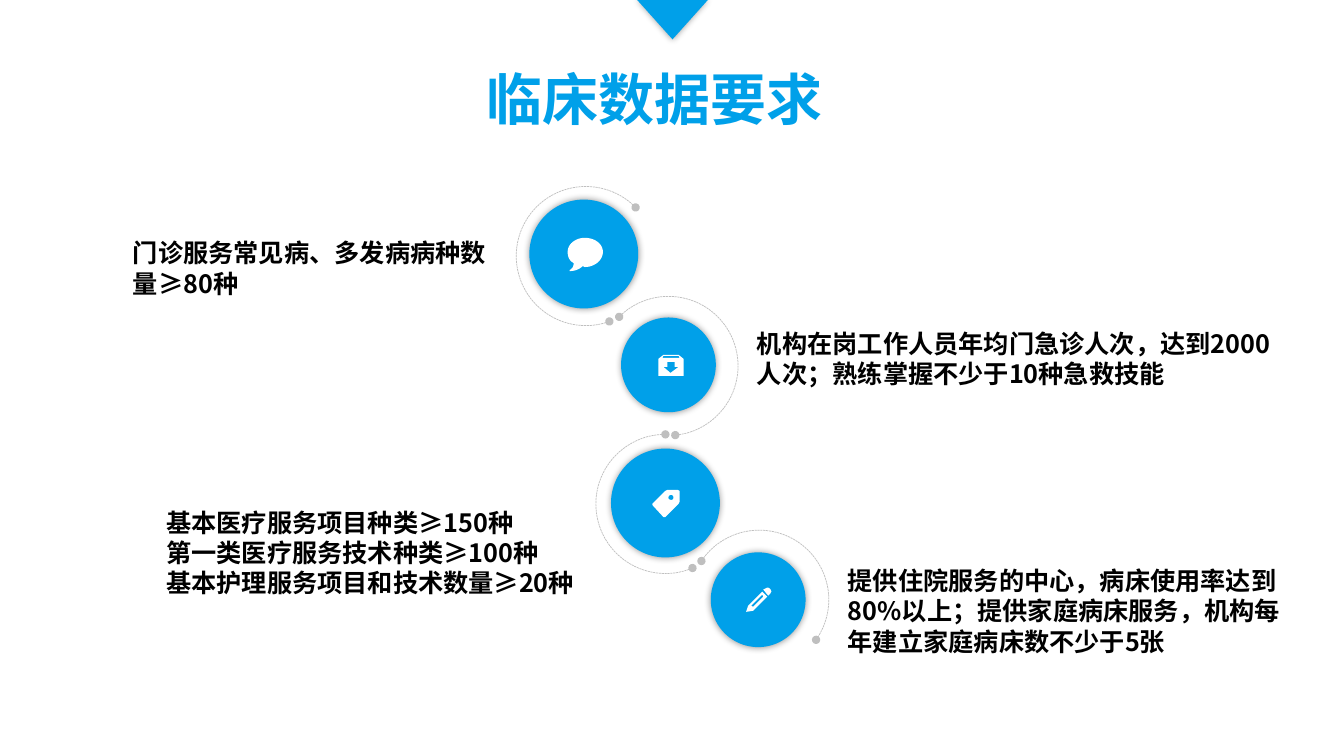
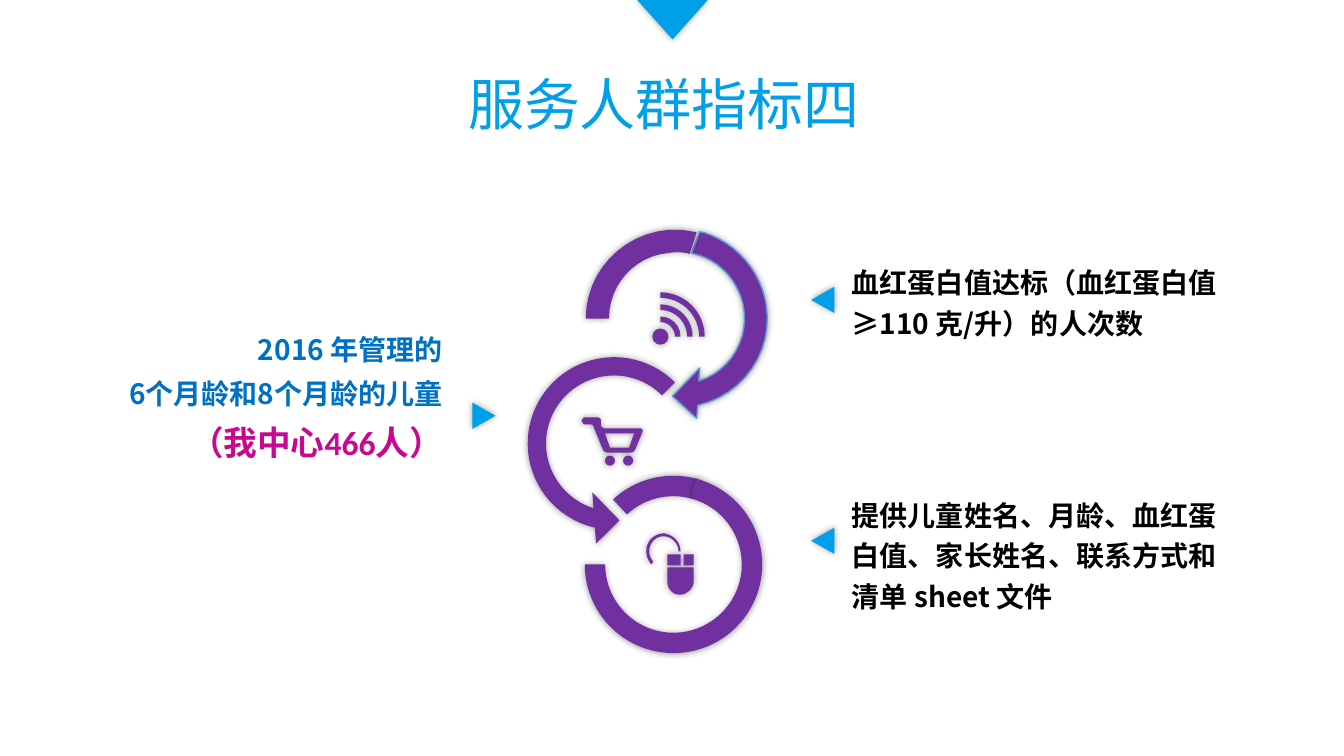
from lxml import etree
from pptx import Presentation
from pptx.dml.color import RGBColor
from pptx.enum.dml import MSO_LINE
from pptx.enum.shapes import MSO_SHAPE as SHAPE
from pptx.enum.text import PP_ALIGN as ALIGN
from pptx.oxml.ns import qn
from pptx.util import Inches, Pt

BLUE = RGBColor(0x00, 0xA0, 0xE9)
DEEP_BLUE = RGBColor(0x00, 0x70, 0xC0)
EDGE_BLUE = RGBColor(0x5B, 0x9B, 0xD5)
PURPLE = RGBColor(0x70, 0x30, 0xA0)
MAGENTA = RGBColor(0xC8, 0x08, 0x90)
GREY = RGBColor(0xBF, 0xBF, 0xBF)
WHITE = RGBColor(0xFF, 0xFF, 0xFF)
BLACK = RGBColor(0, 0, 0)
BODY_FONT, TITLE_FONT = "Noto Sans CJK SC", "Noto Sans CJK JP"
WIDTH, HEIGHT = 13.33, 7.5
TITLE_SIZE = (6.03, 0.74)
ORBIT = 1.38

# Outlines: a pair is a corner, six numbers are a curve (two handles, end).
BUBBLE = [[(5.8, 2.36), (5.9, 2.36, 5.98, 2.42, 5.98, 2.5),
           (5.98, 2.58, 5.9, 2.65, 5.8, 2.65), (5.78, 2.64),
           (5.74, 2.68, 5.69, 2.69, 5.65, 2.69), (5.65, 2.68),
           (5.67, 2.67, 5.69, 2.65, 5.69, 2.61),
           (5.65, 2.59, 5.63, 2.55, 5.63, 2.5),
           (5.63, 2.42, 5.71, 2.36, 5.8, 2.36)]]
BOX = [[(6.73, 3.52), (6.58, 3.52), (6.53, 3.56), (6.53, 3.73),
        (6.78, 3.73), (6.78, 3.56)],
       [(6.65, 3.7), (6.58, 3.64), (6.62, 3.64), (6.62, 3.59),
        (6.69, 3.59), (6.69, 3.64), (6.73, 3.64)],
       [(6.57, 3.55), (6.58, 3.53), (6.73, 3.53), (6.74, 3.55)]]
TAG = [[(6.72, 4.86), (6.62, 4.86), (6.6, 4.87), (6.47, 5), (6.47, 5.01),
        (6.58, 5.13), (6.6, 5.13), (6.73, 5), (6.74, 4.98), (6.74, 4.87)],
       [(6.66, 4.96), (6.64, 4.96, 6.63, 4.95, 6.63, 4.94),
        (6.63, 4.92, 6.64, 4.91, 6.66, 4.91),
        (6.67, 4.91, 6.68, 4.92, 6.68, 4.94),
        (6.68, 4.95, 6.67, 4.96, 6.66, 4.96)]]
PENCIL = [[(7.61, 5.83), (7.63, 5.83, 7.65, 5.85, 7.65, 5.87),
           (7.64, 5.89), (7.62, 5.91), (7.57, 5.85), (7.59, 5.84)],
          [(7.42, 6.01), (7.4, 6.07), (7.47, 6.06), (7.61, 5.92), (7.56, 5.87)],
          [(7.57, 5.92), (7.47, 6.02), (7.45, 6.01), (7.56, 5.9)]]
CART = [[(6.35, 4.25), (6, 4.25), (5.98, 4.25, 5.96, 4.23, 5.96, 4.22),
         (5.96, 4.17), (5.96, 4.16, 5.95, 4.14, 5.92, 4.14), (5.8, 4.14),
         (5.79, 4.14, 5.77, 4.16, 5.77, 4.17),
         (5.77, 4.19, 5.79, 4.21, 5.8, 4.21), (5.85, 4.21),
         (5.87, 4.21, 5.89, 4.22, 5.89, 4.24), (5.98, 4.46),
         (5.99, 4.48, 6.01, 4.49, 6.03, 4.49), (6.24, 4.49),
         (6.27, 4.49, 6.29, 4.48, 6.3, 4.46), (6.37, 4.29),
         (6.38, 4.27, 6.37, 4.25, 6.35, 4.25)],
        [(6.24, 4.44), (6.05, 4.44), (6, 4.3), (6.29, 4.3)]]
MOUSE = [[(6.78, 5.5), (6.78, 5.61), (6.88, 5.61), (6.88, 5.5)],
         [(6.62, 5.77), (6.62, 5.84, 6.67, 5.9, 6.74, 5.9),
          (6.81, 5.9, 6.88, 5.84, 6.88, 5.77), (6.88, 5.63), (6.62, 5.63)],
         [(6.75, 5.5), (6.62, 5.5), (6.62, 5.61), (6.75, 5.61)]]
CABLE = [[(6.41, 5.47), (6.41, 5.37, 6.48, 5.3, 6.58, 5.29),
          (6.67, 5.3, 6.75, 5.37, 6.75, 5.47), (6.73, 5.47),
          (6.73, 5.39, 6.66, 5.32, 6.58, 5.32),
          (6.5, 5.32, 6.44, 5.39, 6.44, 5.47),
          (6.44, 5.51, 6.46, 5.55, 6.48, 5.57), (6.46, 5.6),
          (6.43, 5.56, 6.41, 5.52, 6.41, 5.47)]]
ARROW = [[(6.94, 2.3), (6.99, 2.31), (7.3, 2.41, 7.55, 2.69, 7.6, 3.03),
          (7.67, 3.49, 7.37, 3.92, 6.92, 4.02), (6.91, 4.15), (6.67, 3.93),
          (6.94, 3.65), (6.93, 3.78), (7.25, 3.68, 7.44, 3.35, 7.37, 3.02),
          (7.31, 2.77, 7.13, 2.58, 6.89, 2.52), (6.86, 2.51)]]
ARROW_TAIL = [[(6.72, 2.28), (6.77, 2.28, 6.83, 2.29, 6.88, 2.3), (6.91, 2.3),
               (6.84, 2.52), (6.81, 2.51), (6.75, 2.5, 6.69, 2.5, 6.63, 2.51),
               (6.29, 2.54, 6.04, 2.83, 6.04, 3.16), (5.81, 3.16),
               (5.81, 2.7, 6.17, 2.32, 6.63, 2.28)]]

# Disc (left, top, diameter), orbit (left, top, start and end degrees), icon
STATIONS = [
    ((5.25, 1.98, 1.08), (5.12, 1.85, 70.2, 315.7), BUBBLE),
    ((6.06, 4.45, 1.08), (5.91, 4.31, 67.1, 270), TAG),
    ((6.16, 3.15, 0.94), (5.94, 2.94, 224.9, 84.4), BOX),
    ((7.05, 5.48, 0.94), (6.84, 5.26, 213.8, 35.2), PENCIL),
]
REQUIREMENTS = [
    ((7.41, 3.21, 5.47, 0.71),
     ["机构在岗工作人员年均门急诊人次，达到2000人次；熟练掌握不少于10种急救技能"]),
    ((8.31, 5.56, 4.71, 1.01),
     ["提供住院服务的中心，病床使用率达到80%以上；提供家庭病床服务，机构每年建立家庭病床数不少于5张"]),
    ((1.22, 2.31, 3.75, 0.71), ["门诊服务常见病、多发病病种数量≥80种"]),
    ((1.55, 4.98, 4.29, 1.01),
     ["基本医疗服务项目种类≥150种", "第一类医疗服务技术种类≥100种",
      "基本护理服务项目和技术数量≥20种"]),
]
INDICATORS = [
    ((8.35, 2.52, 3.88, 0.91), ["血红蛋白值达标（血红蛋白值≥110 克/升）的人次数"]),
    ((8.35, 4.83, 3.88, 1.31),
     ["提供儿童姓名、月龄、血红蛋白值、家长姓名、联系方式和清单 sheet 文件"]),
]
CHILDREN = ["2016 年管理的", "6个月龄和8个月龄的儿童"]
CHILDREN_COUNT = "（我中心466人）"
POINTERS = [(8.03, 2.86, 270), (8.03, 5.25, 270), (4.67, 4.01, 90)]
RINGS = [
    (SHAPE.LEFT_CIRCULAR_ARROW, (5.07, 3.38, 2.04, 2.04),
     (0.089, 11.423, 62.936, 189, 0.125)),
    (SHAPE.BLOCK_ARC, (5.8, 4.72, 1.76, 1.76), (136.244, 172.282, 0.115)),
    (SHAPE.BLOCK_ARC, (5.8, 4.72, 1.76, 1.76), (170.851, 108, 0.115)),
]
DOTS = [(6.47, 3.26, 0.16), (6, 4.52, 0.1), (6.18, 4.52, 0.1)]
WAVE_CENTRE, WAVE_RADII, WAVE_BAND = (6.55, 3.34), (0.2, 0.32, 0.44), 0.055


def soft_shadow(shape):
    effects = etree.SubElement(shape._element.spPr, qn("a:effectLst"))
    outer = etree.SubElement(effects, qn("a:outerShdw"), blurRad=str(Pt(5)),
                             dist="0", dir="0", algn="ctr", rotWithShape="0")
    colour = etree.SubElement(outer, qn("a:srgbClr"), val=str(BLACK))
    etree.SubElement(colour, qn("a:alpha"), val="40000")


def paint(shape, fill, edge=None, shadow=True):
    shape.fill.solid()
    shape.fill.fore_color.rgb = fill
    if edge is None:
        shape.line.fill.background()
    else:
        shape.line.color.rgb = edge
        shape.line.width = Pt(1)
    if shadow:
        soft_shadow(shape)
    else:
        shape.shadow.inherit = False
    return shape


def preset(slide, kind, box, adjustments=()):
    shape = slide.shapes.add_shape(kind, *map(Inches, box))
    for index, value in enumerate(adjustments):
        shape.adjustments[index] = value
    return shape


def flatten(contour, steps=12):
    """Turn corners and curves into plain points, in EMU."""
    points = [contour[0]]
    for segment in contour[1:]:
        if len(segment) == 2:
            points.append(segment)
            continue
        nodes = [points[-1], segment[:2], segment[2:4], segment[4:]]
        for step in range(1, steps + 1):
            t = step / steps
            weights = ((1 - t) ** 3, 3 * t * (1 - t) ** 2, 3 * t * t * (1 - t), t ** 3)
            points.append(tuple(sum(w * node[axis] for w, node in zip(weights, nodes))
                                for axis in (0, 1)))
    return [(Inches(x), Inches(y)) for x, y in points]


def outline(slide, contours):
    first, *others = map(flatten, contours)
    builder = slide.shapes.build_freeform(*first[0])
    builder.add_line_segments(first[1:], close=True)
    for points in others:
        builder.move_to(*points[0])
        builder.add_line_segments(points[1:], close=True)
    return builder.convert_to_shape()


def orbit(slide, left, top, start, end):
    """Draw a dotted arc clockwise from start to end, a dot at each end."""
    arc = preset(slide, SHAPE.ARC, (left, top, ORBIT, ORBIT), (start * 0.6, end * 0.6))
    arc.fill.background()
    arc.line.color.rgb = GREY
    arc.line.width = Pt(0.5)
    arc.line.dash_style = MSO_LINE.SQUARE_DOT
    for end_tag in ("a:headEnd", "a:tailEnd"):
        etree.SubElement(arc.line._ln, qn(end_tag), type="oval")
    arc.shadow.inherit = False


def write(slide, box, lines, spacing=None, align=ALIGN.LEFT, margins=(0.1, 0.05)):
    """Each line is (text, size, colour, bold, Latin font, East Asian font)."""
    frame = slide.shapes.add_textbox(*map(Inches, box)).text_frame
    frame.word_wrap = True
    frame.margin_left = frame.margin_right = Inches(margins[0])
    frame.margin_top = frame.margin_bottom = Inches(margins[1])
    for index, (text, size, colour, bold, latin, east_asian) in enumerate(lines):
        paragraph = frame.add_paragraph() if index else frame.paragraphs[0]
        paragraph.alignment = align
        paragraph.line_spacing = spacing
        run = paragraph.add_run()
        run.text = text
        run.font.color.rgb = colour
        for name, value in dict(size=Pt(size), bold=bold, name=latin).items():
            setattr(run.font, name, value)
        etree.SubElement(run._r.rPr, qn("a:ea"), typeface=east_asian)


def body(texts, size, colour=BLACK):
    return [(text, size, colour, True, BODY_FONT, BODY_FONT) for text in texts]


def titled_slide(deck, title, left, top, bold):
    slide = deck.slides.add_slide(deck.slide_layouts[6])
    write(slide, (left, top, *TITLE_SIZE),
          [(title, 40, BLUE, bold, TITLE_FONT, TITLE_FONT)],
          align=ALIGN.CENTER, margins=(0.07, 0.04))
    marker = paint(preset(slide, SHAPE.ISOSCELES_TRIANGLE, (6.32, 0, 0.7, 0.39)), BLUE)
    marker.rotation = 180
    return slide


def clinical_data(deck):
    slide = titled_slide(deck, "临床数据要求", 3.48, 0.6, True)
    for (left, top, size), path_of_orbit, _ in STATIONS:
        paint(preset(slide, SHAPE.OVAL, (left, top, size, size)), BLUE)
        orbit(slide, *path_of_orbit)
    for *_, icon in STATIONS:
        paint(outline(slide, icon), WHITE, shadow=False)
    for box, texts in REQUIREMENTS:
        write(slide, box, body(texts, 18))


def service_group(deck):
    slide = titled_slide(deck, "服务人群指标四", 3.57, 0.65, False)
    for left, top, angle in POINTERS:
        pointer = preset(slide, SHAPE.ISOSCELES_TRIANGLE, (left, top, 0.26, 0.23))
        paint(pointer, BLUE).rotation = angle
    for box, texts in INDICATORS:
        write(slide, box, body(texts, 20), spacing=1.2)
    for kind, box, adjustments in RINGS:
        paint(preset(slide, kind, box, adjustments), PURPLE)
    x, y = WAVE_CENTRE
    for radius in WAVE_RADII:
        wave = preset(slide, SHAPE.BLOCK_ARC, (x - radius, y - radius, 2 * radius, 2 * radius),
                      (162, 0, WAVE_BAND / (2 * radius)))
        paint(wave, PURPLE)
    for left, top, size in DOTS:
        paint(preset(slide, SHAPE.OVAL, (left, top, size, size)), PURPLE)
    for icon in (CART, MOUSE, CABLE):
        paint(outline(slide, icon), PURPLE)
    paint(outline(slide, ARROW), PURPLE, edge=EDGE_BLUE)
    paint(outline(slide, ARROW_TAIL), PURPLE)
    count = (CHILDREN_COUNT, 24, MAGENTA, True, "Calibri", BODY_FONT)
    write(slide, (0.64, 3.15, 3.85, 1.94), body(CHILDREN, 20, DEEP_BLUE) + [count],
          spacing=1.3, align=ALIGN.RIGHT)


def main():
    deck = Presentation()
    deck.slide_width, deck.slide_height = Inches(WIDTH), Inches(HEIGHT)
    clinical_data(deck)
    service_group(deck)
    deck.save("out.pptx")


if __name__ == "__main__":
    main()
